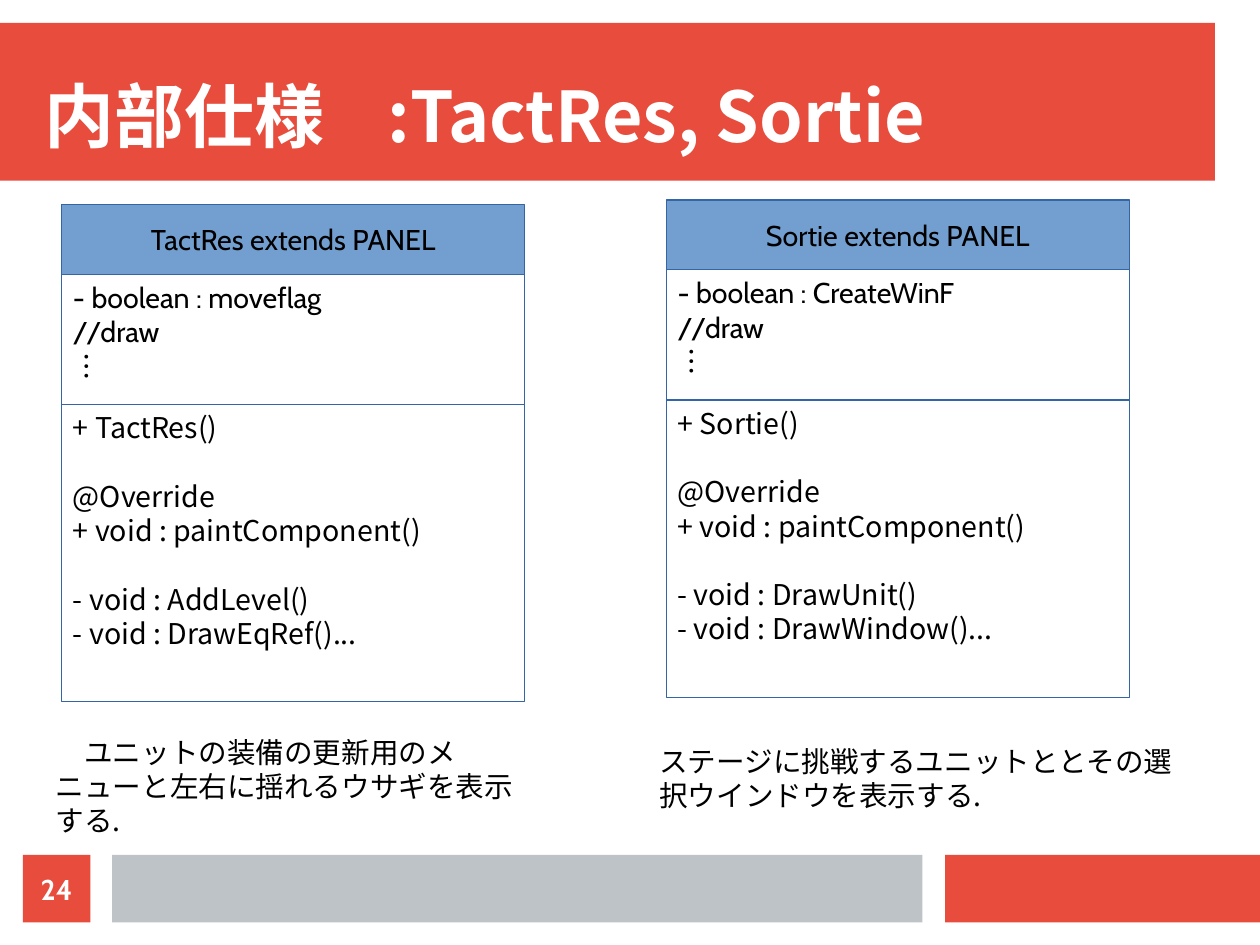
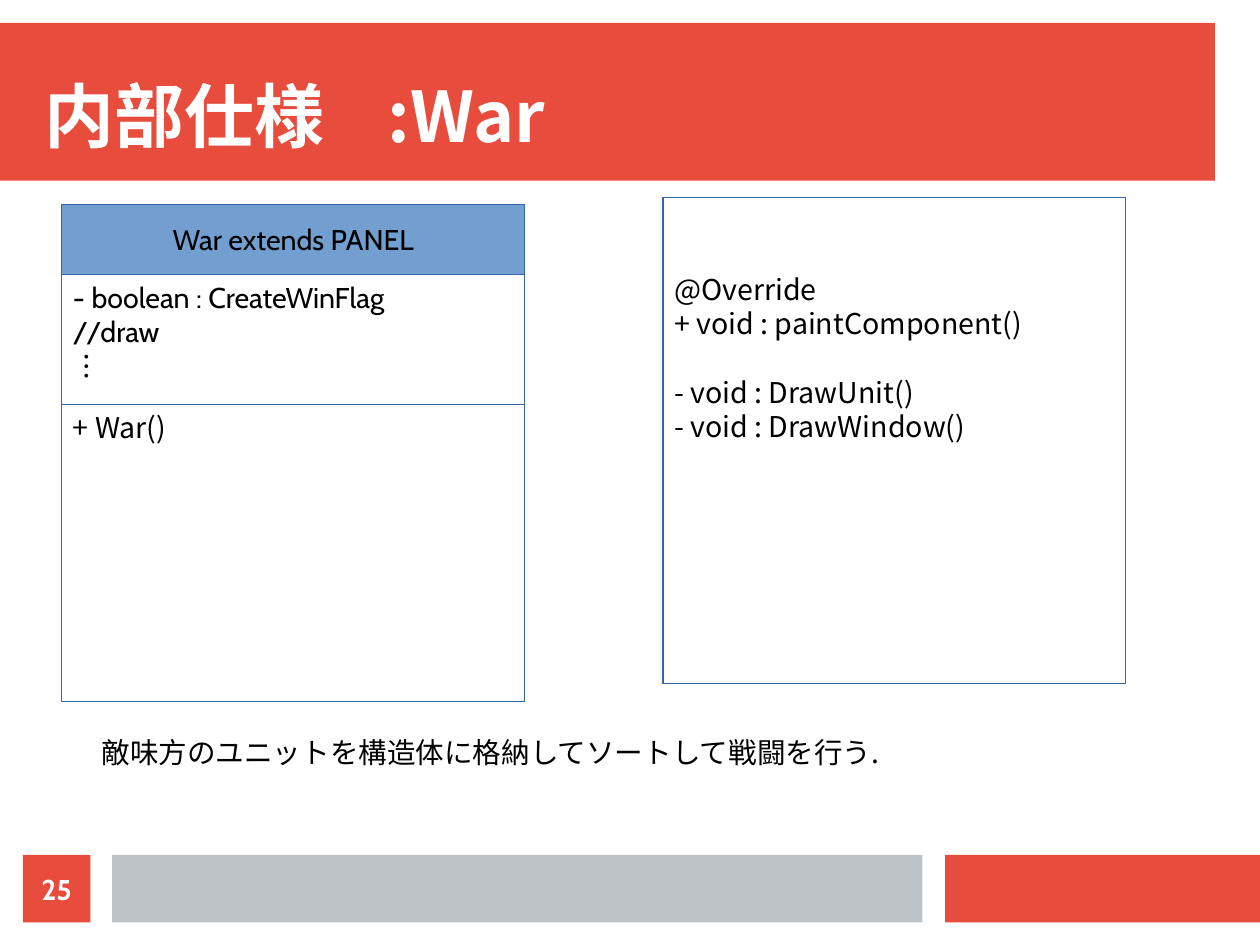
from lxml import etree
from pptx import Presentation
from pptx.dml.color import RGBColor
from pptx.enum import shapes, text
from pptx.oxml.ns import qn
from pptx.util import Cm, Inches, Pt

RED = RGBColor(0xE7, 0x4C, 0x3C)
GREY = RGBColor(0xBD, 0xC3, 0xC7)
BLUE = RGBColor(0x72, 0x9F, 0xCF)
OUTLINE = RGBColor(0x34, 0x65, 0xA4)
WHITE = RGBColor(0xFF, 0xFF, 0xFF)
BLACK = RGBColor(0, 0, 0)

LATIN = "Cabin"
JAPANESE = "Noto Sans CJK JP"
BODY_SIZE = 18
LINE_HEIGHT = 21.6
INSETS = (0.1, 0.05, 0.1, 0.05)
NO_INSETS = (0, 0, 0, 0)
TITLE_BOX = (0.39, 0.39, 10.24, 0.98)
TITLE_TAB = 3
CLASS_WIDTH = 4.05
NAME_HEIGHT = 0.61
FIELDS_HEIGHT = 1.14
METHODS_HEIGHT = 2.6
FOOTER_TOP, FOOTER_HEIGHT = 7.48, 0.59


def place(shape, left, top, width, height):
    shape.left, shape.top = Inches(left), Inches(top)
    shape.width, shape.height = Inches(width), Inches(height)


def add_span(para, words, font=JAPANESE, size=BODY_SIZE, color=BLACK, bold=False):
    span = para.add_run()
    span.text = words
    span.font.size = Pt(size)
    span.font.bold = bold
    span.font.color.rgb = color
    span.font.name = font
    east_asian = etree.SubElement(span.font._element, qn("a:ea"))
    east_asian.set("typeface", JAPANESE)


def set_frame(frame, insets=INSETS, anchor=text.MSO_ANCHOR.TOP):
    frame.word_wrap = True
    frame.auto_size = text.MSO_AUTO_SIZE.NONE
    frame.vertical_anchor = anchor
    (frame.margin_left, frame.margin_top,
     frame.margin_right, frame.margin_bottom) = map(Inches, insets)


def write_groups(frame, groups, align=text.PP_ALIGN.LEFT, **style):
    """Write groups of lines, one line of space between groups."""
    para = None
    for group in groups:
        for index, line in enumerate(group):
            starts_group = para is not None and index == 0
            para = frame.add_paragraph() if para is not None else frame.paragraphs[0]
            para.alignment = align
            if starts_group:
                para.space_before = Pt(LINE_HEIGHT)
            add_span(para, line, **style)


def add_box(page, left, top, width, height, fill, line=None):
    box = page.shapes.add_shape(shapes.MSO_SHAPE.RECTANGLE, Inches(left),
                                Inches(top), Inches(width), Inches(height))
    box.shadow.inherit = False
    box.fill.solid()
    box.fill.fore_color.rgb = fill
    if line is None:
        box.line.fill.background()
    else:
        box.line.color.rgb = line
        box.line.width = Pt(0)
    return box


def dress_layout(layout, page):
    """Move the bands into the layout and set its title; page is where they are drawn."""
    for index, band in enumerate((
        add_box(page, 0, 0.2, 10.63, 1.38, RED),
        add_box(page, 8.27, FOOTER_TOP, 2.76, FOOTER_HEIGHT, RED),
        add_box(page, 0.98, FOOTER_TOP, 7.09, FOOTER_HEIGHT, GREY),
    )):
        layout.shapes.element.insert(2 + index, band.element)
    for holder in list(layout.placeholders):
        if holder.placeholder_format.type == shapes.PP_PLACEHOLDER.TITLE:
            place(holder, *TITLE_BOX)
        else:
            holder.element.getparent().remove(holder.element)


def add_title(page, words):
    title = page.shapes.title
    place(title, *TITLE_BOX)
    frame = title.text_frame
    set_frame(frame, NO_INSETS, text.MSO_ANCHOR.BOTTOM)
    write_groups(frame, [[words]], size=44, color=WHITE, bold=True)
    properties = frame.paragraphs[0]._p.get_or_add_pPr()
    tabs = etree.SubElement(properties, qn("a:tabLst"))
    etree.SubElement(tabs, qn("a:tab"), pos=str(Inches(TITLE_TAB)), algn="l")


def add_page_number(page, number):
    box = add_box(page, 0.2, FOOTER_TOP, FOOTER_HEIGHT, FOOTER_HEIGHT, RED)
    set_frame(box.text_frame, NO_INSETS, text.MSO_ANCHOR.MIDDLE)
    write_groups(box.text_frame, [[str(number)]], text.PP_ALIGN.CENTER,
                 font=LATIN, color=WHITE, bold=True)


def add_methods(page, left, top, height, groups, blank_lines=0):
    box = add_box(page, left, top, CLASS_WIDTH, height, WHITE, OUTLINE)
    side, above, _, below = INSETS
    set_frame(box.text_frame, (side, above + blank_lines * LINE_HEIGHT / 72, side, below))
    write_groups(box.text_frame, groups)


def add_class(page, left, top, name, flag, methods):
    """Stack the name, fields and methods of one class."""
    fields_top = top + NAME_HEIGHT
    fields = add_box(page, left, fields_top, CLASS_WIDTH, FIELDS_HEIGHT, WHITE, OUTLINE)
    set_frame(fields.text_frame)
    write_groups(fields.text_frame, [[f"- boolean : {flag}", "//draw", "︙"]], font=LATIN)
    head = add_box(page, left, top, CLASS_WIDTH, NAME_HEIGHT, BLUE, OUTLINE)
    set_frame(head.text_frame, anchor=text.MSO_ANCHOR.MIDDLE)
    write_groups(head.text_frame, [[f"{name} extends PANEL"]],
                 text.PP_ALIGN.CENTER, font=LATIN)
    add_methods(page, left, fields_top + FIELDS_HEIGHT, METHODS_HEIGHT,
                [[f"+ {name}()"], *methods])


def add_caption(page, left, top, width, height, words):
    box = page.shapes.add_textbox(Inches(left), Inches(top), Inches(width), Inches(height))
    set_frame(box.text_frame)
    write_groups(box.text_frame, [[words]])


def start_page(deck, number, title):
    layout = deck.slide_layouts.get_by_name("Title Only")
    page = deck.slides.add_slide(layout)
    if len(deck.slides) == 1:
        dress_layout(layout, page)
    add_title(page, f"内部仕様\t:{title}")
    add_page_number(page, number)
    return page


def main():
    deck = Presentation()
    deck.slide_width, deck.slide_height = Cm(28), Cm(21)
    paint = ["@Override", "+ void : paintComponent()"]

    page = start_page(deck, 24, "TactRes, Sortie")
    add_class(page, 0.54, 1.79, "TactRes", "moveflag",
              [paint, ["- void : AddLevel()", "- void : DrawEqRef()..."]])
    add_class(page, 5.83, 1.75, "Sortie", "CreateWinF",
              [paint, ["- void : DrawUnit()", "- void : DrawWindow()..."]])
    add_caption(page, 0.39, 6.38, 4.33, 1.1,
                "　ユニットの装備の更新用のメニューと左右に揺れるウサギを表示する.")
    add_caption(page, 5.67, 6.46, 4.8, 0.8,
                "ステージに挑戦するユニットととその選択ウインドウを表示する.")

    page = start_page(deck, 25, "War")
    add_class(page, 0.54, 1.79, "War", "CreateWinFlag", [])
    add_methods(page, 5.8, 1.73, 4.25,
                [paint, ["- void : DrawUnit()", "- void : DrawWindow()"]], blank_lines=2)
    add_caption(page, 0.79, 6.38, 9.53, 1.02,
                "敵味方のユニットを構造体に格納してソートして戦闘を行う.")

    deck.save("out.pptx")


if __name__ == "__main__":
    main()
